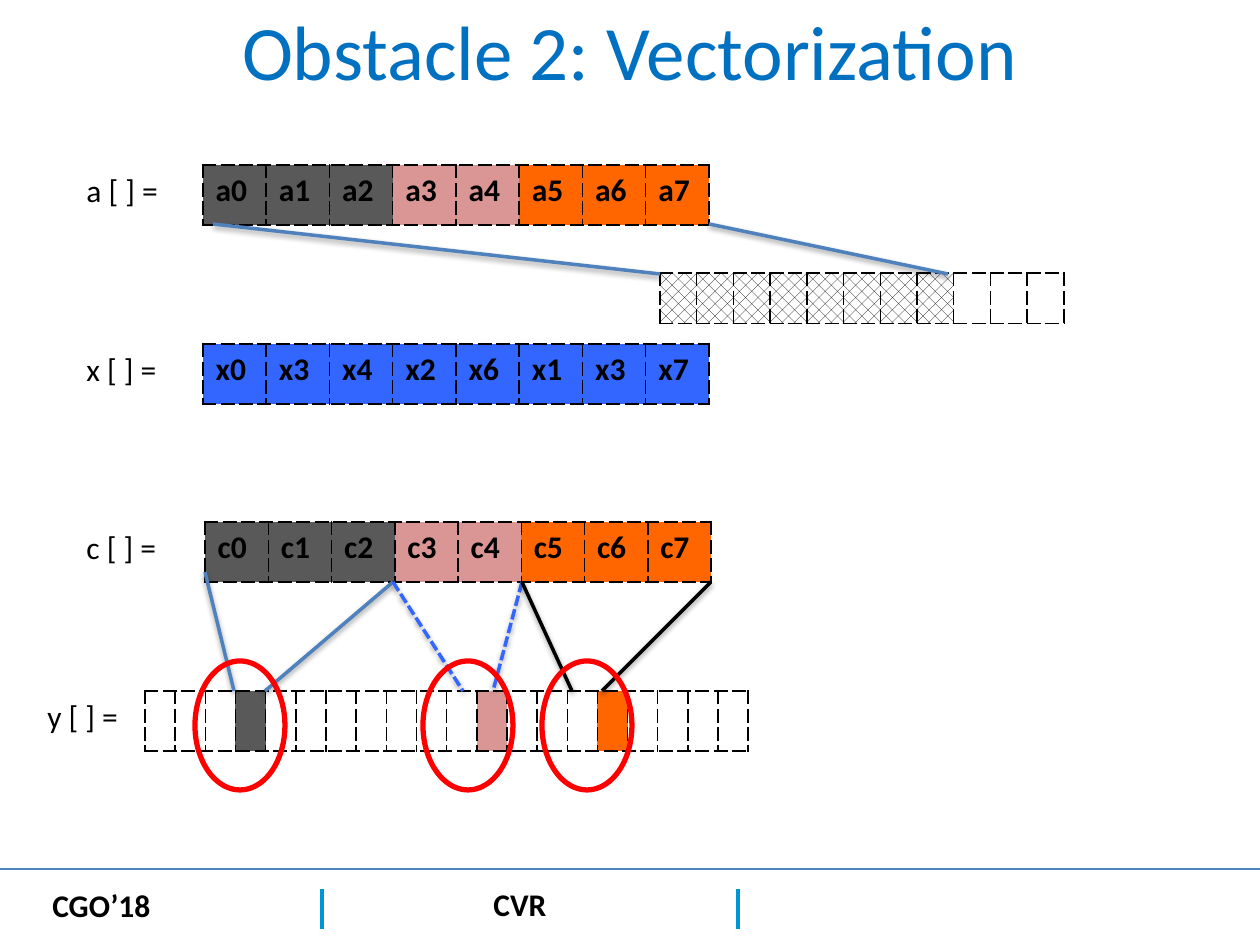
from lxml.etree import SubElement
from pptx import Presentation
from pptx.dml.color import RGBColor
from pptx.enum.dml import MSO_LINE, MSO_PATTERN
from pptx.enum.shapes import MSO_CONNECTOR, MSO_SHAPE
from pptx.enum.text import MSO_ANCHOR, PP_ALIGN
from pptx.oxml import parse_xml
from pptx.oxml.ns import nsdecls, qn
from pptx.util import Pt

SCALE = 914400 / 126
BLACK, WHITE, RED = "000000", "FFFFFF", "FF0000"
GRAY, PINK, ORANGE, ROYAL = "595959", "D99694", "FF6600", "3366FF"
STEEL, CYAN, TITLE_BLUE = "4F81BD", "0096D6", "0070C0"
PATTERN = "pattern"

ROW_COLORS = [GRAY] * 3 + [PINK] * 2 + [ORANGE] * 3
RESULT_COLORS = [{3: GRAY, 11: PINK, 15: ORANGE}.get(i, WHITE) for i in range(20)]

# left, top, width, height, texts, fills
TABLES = [
    (205, 522, 506, 60, [f"c{i}" for i in range(8)], ROW_COLORS),
    (145, 691, 603, 60, [""] * 20, RESULT_COLORS),
    (203, 165, 506, 60, [f"a{i}" for i in range(8)], ROW_COLORS),
    (660, 273, 404, 50, [""] * 11, [PATTERN] * 8 + [WHITE] * 3),
    (203, 344, 506, 60, "x0 x3 x4 x2 x6 x1 x3 x7".split(), [ROYAL] * 8),
]
FOOTER_LINES = [
    (738, 889, 738, 929, CYAN, 2),
    (322, 889, 322, 929, CYAN, 2),
    (0, 869, 1260, 869, STEEL, 1),
]
MAPPING_LINES = [
    (205, 572, 234, 691, STEEL, False),
    (393, 582, 265, 691, STEEL, False),
    (393, 582, 463, 691, ROYAL, True),
    (522, 582, 493, 691, ROYAL, True),
    (522, 582, 572, 691, BLACK, False),
    (711, 582, 602, 691, BLACK, False),
    (213, 224, 660, 274, STEEL, False),
    (709, 224, 948, 274, STEEL, False),
]
ELLIPSE_LEFTS = [542, 423, 195]
LABELS = [
    ("y [ ] =", 35, 691), ("c [ ] =", 74, 522),
    ("x [ ] =", 74, 344), ("a [ ] =", 74, 165),
]
FOOTERS = [("CVR", 481, 879, 79), ("CGO’18", 40, 880, 125)]


def px(value):
    """Turn pixels into EMU."""
    return round(value * SCALE)


def rgb(color):
    """Turn a hex string into a colour."""
    return RGBColor.from_string(color)


def style_font(paragraph, size, color, bold=False):
    """Set the font of a paragraph's runs."""
    for run in paragraph.runs:
        run.font.name = "Calibri"
        run.font.size = Pt(size)
        run.font.bold = bold
        run.font.color.rgb = rgb(color)


def add_text(slide, text, box, size=18, color=BLACK, bold=False, wrap=True):
    """Add a one-paragraph text box and return its frame."""
    frame = slide.shapes.add_textbox(*map(px, box)).text_frame
    frame.text = text
    frame.word_wrap = wrap
    style_font(frame.paragraphs[0], size, color, bold)
    return frame


def add_line(slide, points, color, width, dashed=False, shadow=False):
    """Add a straight line, with or without a soft shadow."""
    line = slide.shapes.add_connector(MSO_CONNECTOR.STRAIGHT, *map(px, points))
    line.line.color.rgb = rgb(color)
    line.line.width = Pt(width)
    if dashed:
        line.line.dash_style = MSO_LINE.SQUARE_DOT
    effects = SubElement(line.element.spPr, qn("a:effectLst"))
    if shadow:
        effects.append(parse_xml(
            f'<a:outerShdw {nsdecls("a")} blurRad="40000" dist="20000" dir="5400000" '
            'rotWithShape="0"><a:srgbClr val="000000"><a:alpha val="38000"/>'
            '</a:srgbClr></a:outerShdw>'))


def set_borders(cell):
    """Give a cell dashed black borders on all sides."""
    properties = cell._tc.get_or_add_tcPr()
    for position, side in enumerate("LRTB"):
        properties.insert(position, parse_xml(
            f'<a:ln{side} {nsdecls("a")} w="12700"><a:solidFill>'
            f'<a:srgbClr val="{BLACK}"/></a:solidFill>'
            f'<a:prstDash val="sysDash"/></a:ln{side}>'))


def fill_cell(cell, fill):
    """Fill a cell with a colour or a dotted pattern."""
    if fill == PATTERN:
        cell.fill.patterned()
        cell.fill.pattern = MSO_PATTERN.PERCENT_30
        cell.fill.fore_color.rgb = rgb(BLACK)
        cell.fill.back_color.rgb = rgb(WHITE)
    else:
        cell.fill.solid()
        cell.fill.fore_color.rgb = rgb(fill)


def add_array(slide, left, top, width, height, texts, fills):
    """Add a one-row table with equal columns."""
    box = map(px, (left, top, width, height))
    table = slide.shapes.add_table(1, len(texts), *box).table
    table.first_row = table.horz_banding = False
    for column, text, fill in zip(range(len(texts)), texts, fills):
        table.columns[column].width = px(width / len(texts))
        cell = table.cell(0, column)
        cell.text = text
        style_font(cell.text_frame.paragraphs[0], 18, BLACK, True)
        fill_cell(cell, fill)
        set_borders(cell)


def main():
    """Build the slide and save it."""
    presentation = Presentation()
    presentation.slide_width, presentation.slide_height = px(1260), px(945)
    slide = presentation.slides.add_slide(presentation.slide_layouts[6])

    for *points, color, width in FOOTER_LINES:
        add_line(slide, points, color, width)
    for text, left, top, width in FOOTERS:
        add_text(slide, text, (left, top, width, 50), bold=True, wrap=False)
    title = add_text(slide, "Obstacle 2: Vectorization", (63, 16, 1134, 68), 44, TITLE_BLUE)
    title.vertical_anchor = MSO_ANCHOR.MIDDLE
    title.paragraphs[0].alignment = PP_ALIGN.CENTER

    for array in TABLES:
        add_array(slide, *array)
    for *points, color, dashed in MAPPING_LINES:
        add_line(slide, points, color, 2, dashed, shadow=True)
    for left in ELLIPSE_LEFTS:
        ellipse = slide.shapes.add_shape(MSO_SHAPE.OVAL, *map(px, (left, 661, 90, 129)))
        ellipse.shadow.inherit = False
        ellipse.fill.background()
        ellipse.line.color.rgb = rgb(RED)
        ellipse.line.width = Pt(3)
    for text, left, top in LABELS:
        add_text(slide, text, (left, top, 100, 50))

    presentation.save("out.pptx")


if __name__ == "__main__":
    main()
